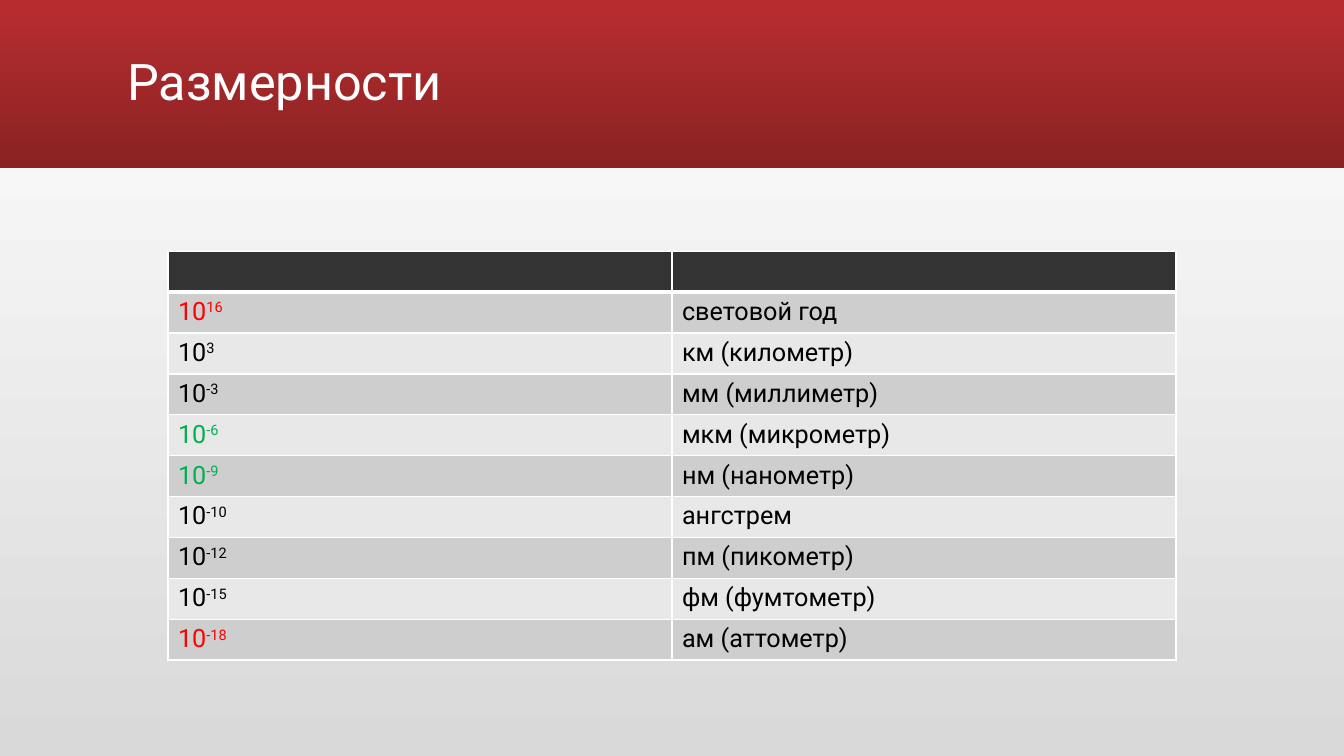
from lxml.etree import SubElement
from pptx import Presentation
from pptx.dml.color import RGBColor
from pptx.enum.shapes import MSO_SHAPE
from pptx.enum.text import MSO_ANCHOR
from pptx.oxml.ns import qn
from pptx.util import Pt

FONT = "Roboto"
BLACK, WHITE, RED, GREEN = "000000", "FFFFFF", "FF0000", "00B050"
HEADER_FILL = "333333"
BAND_FILLS = ("CECECE", "E8E8E8")
UNITS = [
    ("16", "световой год", RED),
    ("3", "км (километр)", BLACK),
    ("-3", "мм (миллиметр)", BLACK),
    ("-6", "мкм (микрометр)", GREEN),
    ("-9", "нм (нанометр)", GREEN),
    ("-10", "ангстрем", BLACK),
    ("-12", "пм (пикометр)", BLACK),
    ("-15", "фм (фумтометр)", BLACK),
    ("-18", "ам (аттометр)", RED),
]


def color(value):
    return RGBColor.from_string(value)


def add_text(paragraph, text, size=18, fill=BLACK, superscript=False):
    run = paragraph.add_run()
    run.text = text
    run.font.name = FONT
    run.font.size = Pt(size)
    run.font.color.rgb = color(fill)
    if superscript:
        run.font._element.set("baseline", "30000")


def fill_gradient(fill, start, end, angle):
    fill.gradient()
    fill.gradient_angle = angle
    for stop, value, position in zip(fill.gradient_stops, (start, end), (0, 1)):
        stop.color.rgb = color(value)
        stop.position = position


def add_banner(slide, width, height):
    banner = slide.shapes.add_shape(MSO_SHAPE.RECTANGLE, 0, 0, width, height)
    banner.shadow.inherit = False
    banner.line.fill.background()
    fill_gradient(banner.fill, "B82D2F", "8A2223", angle=270)


def add_title(slide, text):
    box = slide.shapes.add_textbox(Pt(84), Pt(8), Pt(792), Pt(104.5))
    frame = box.text_frame
    frame.word_wrap = True
    frame.vertical_anchor = MSO_ANCHOR.MIDDLE
    paragraph = frame.paragraphs[0]
    paragraph.line_spacing = 0.9
    add_text(paragraph, text, size=36, fill=WHITE)


def format_cell(cell, fill, top=1, bottom=1):
    properties = cell._tc.get_or_add_tcPr()
    for side, width in (("L", 1), ("R", 1), ("T", top), ("B", bottom)):
        border = SubElement(properties, qn(f"a:ln{side}"), w=str(Pt(width)))
        solid = SubElement(border, qn("a:solidFill"))
        SubElement(solid, qn("a:srgbClr"), val=WHITE)
    cell.fill.solid()
    cell.fill.fore_color.rgb = color(fill)


def add_units_table(slide):
    row_count = len(UNITS) + 1
    row_height = Pt(29.2)
    frame = slide.shapes.add_table(
        row_count, 2, Pt(120), Pt(179.5), Pt(720), row_height * row_count
    )
    table = frame.table
    table.first_row = False
    table.horz_banding = False
    for row in table.rows:
        row.height = row_height
    for cell in table.rows[0].cells:
        format_cell(cell, HEADER_FILL, bottom=3)
    for index, (exponent, unit, power_color) in enumerate(UNITS):
        power_cell, unit_cell = table.rows[index + 1].cells
        for cell in (power_cell, unit_cell):
            format_cell(cell, BAND_FILLS[index % 2], top=3 if index == 0 else 1)
        power = power_cell.text_frame.paragraphs[0]
        add_text(power, "10", fill=power_color)
        add_text(power, exponent, fill=power_color, superscript=True)
        add_text(unit_cell.text_frame.paragraphs[0], unit)


def main():
    presentation = Presentation()
    presentation.slide_width = Pt(960)
    presentation.slide_height = Pt(540)
    slide = presentation.slides.add_slide(presentation.slide_layouts[6])
    fill_gradient(slide.background.fill, "D9D9D9", WHITE, angle=90)
    add_banner(slide, presentation.slide_width, Pt(120))
    add_title(slide, "Размерности")
    add_units_table(slide)
    presentation.save("out.pptx")


if __name__ == "__main__":
    main()
